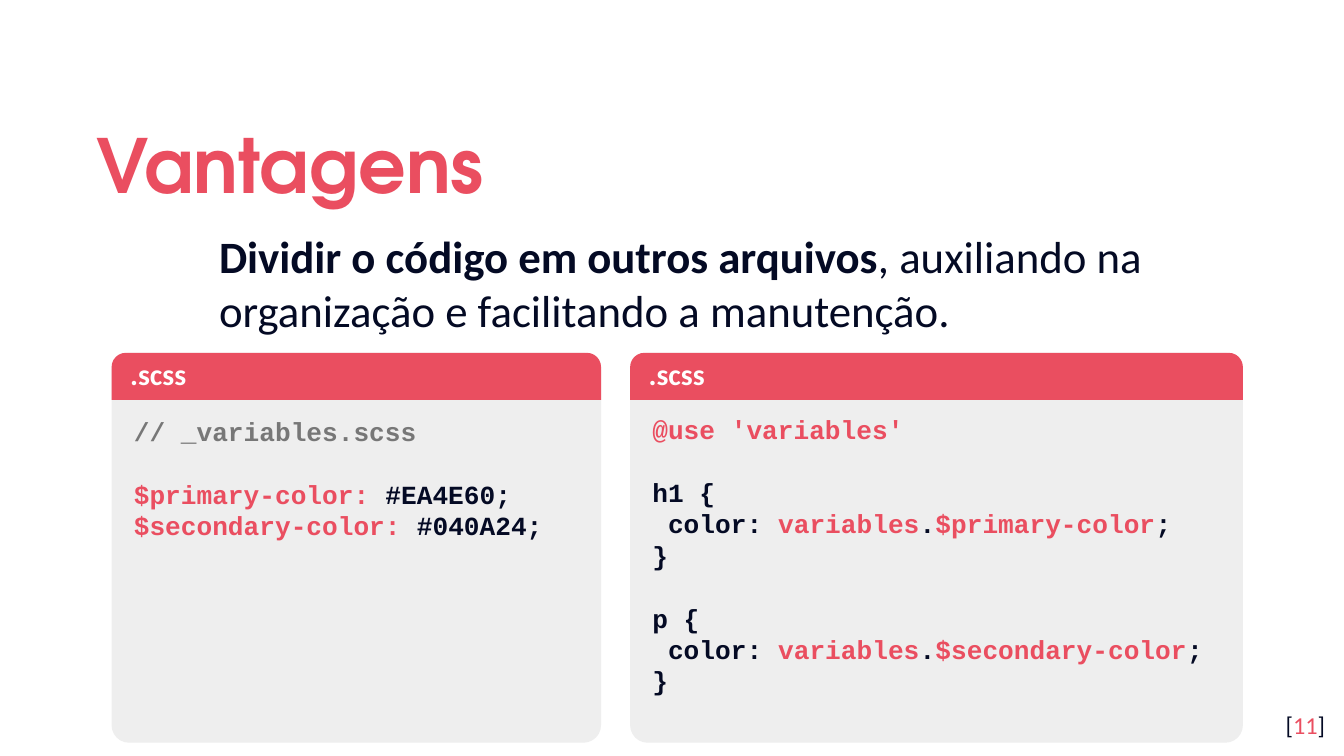
from pptx import Presentation
from pptx.dml.color import RGBColor
from pptx.enum.shapes import MSO_SHAPE as Shape
from pptx.enum.text import MSO_ANCHOR as Anchor, PP_ALIGN as Align
from pptx.util import Cm, Pt

CORAL = RGBColor(0xEA, 0x4E, 0x60)
NAVY = RGBColor(0x04, 0x0A, 0x24)
GREY = RGBColor(0x77, 0x77, 0x77)
PALE = RGBColor(0xEE, 0xEE, 0xEE)
WHITE = RGBColor(0xFF, 0xFF, 0xFF)

BODY_FONT = "Calibri"
CODE_FONT = "Courier New"
TITLE_FONT = "TeX Gyre Adventor"

PANEL_TOP, PANEL_HEIGHT, HEADER_HEIGHT = 6.67, 7.37, 0.89
CODE_LINE = 16.8  # height of one code line in points

# Code blocks, each a list of lines made of (text, colour) pieces
VARIABLES_CODE = [
    [[("// _variables.scss", GREY)]],
    [[("$primary-color: ", CORAL), ("#EA4E60;", NAVY)],
     [("$secondary-color: ", CORAL), ("#040A24;", NAVY)]],
]


def css_rule(selector, variable):
    """Lines of a rule that colours a selector with a module variable."""
    return [
        [(selector + " {", NAVY)],
        [(" color: ", NAVY), ("variables", CORAL), (".", NAVY),
         (variable, CORAL), (";", NAVY)],
        [("}", NAVY)],
    ]


USAGE_CODE = [
    [[("@use 'variables'", CORAL)]],
    css_rule("h1", "$primary-color"),
    css_rule("p", "$secondary-color"),
]


def add_run(paragraph, text, *, font=BODY_FONT, size=14, color=NAVY, bold=False):
    run = paragraph.add_run()
    run.text = text
    run.font.name = font
    run.font.size = Pt(size)
    run.font.color.rgb = color
    run.font.bold = bold


def add_text_frame(slide, left, top, width, height, *, inset=0.13, anchor=Anchor.TOP):
    box = slide.shapes.add_textbox(Cm(left), Cm(top), Cm(width), Cm(height))
    frame = box.text_frame
    frame.word_wrap = True
    frame.vertical_anchor = anchor
    frame.margin_left = frame.margin_right = Cm(0.25)
    frame.margin_top = frame.margin_bottom = Cm(inset)
    return frame


def add_block(slide, kind, left, width, height, color, corner):
    block = slide.shapes.add_shape(
        kind, Cm(left), Cm(PANEL_TOP), Cm(width), Cm(height))
    block.adjustments[0] = corner
    block.shadow.inherit = False
    block.fill.solid()
    block.fill.fore_color.rgb = color
    block.line.fill.background()


def add_code(slide, left, top, width, height, blocks):
    frame = add_text_frame(slide, left, top, width, height)
    for block_index, block in enumerate(blocks):
        for line_index, line in enumerate(block):
            if block_index == 0 and line_index == 0:
                paragraph = frame.paragraphs[0]
            else:
                paragraph = frame.add_paragraph()
                # A new block starts one line lower
                paragraph.space_before = Pt(CODE_LINE if line_index == 0 else 0)
            for text, color in line:
                add_run(paragraph, text, font=CODE_FONT, color=color, bold=True)


def add_code_panel(slide, left, width, code_top, code_height, blocks):
    add_block(slide, Shape.ROUNDED_RECTANGLE, left, width, PANEL_HEIGHT, PALE, 0.045)
    add_block(slide, Shape.ROUND_2_SAME_RECTANGLE, left, width, HEADER_HEIGHT, CORAL, 0.3)
    label = add_text_frame(slide, left - 0.1, 6.6, 1.96, 0.94).paragraphs[0]
    label.alignment = Align.CENTER
    add_run(label, ".scss", size=16, color=WHITE, bold=True)
    add_code(slide, left + 0.17, code_top, width - 0.36, code_height, blocks)


def add_title(slide):
    title = add_text_frame(slide, 1.57, 1.8, 22.2, 2.34,
                           inset=0.25, anchor=Anchor.MIDDLE).paragraphs[0]
    title.line_spacing = 1.15
    add_run(title, "Vantagens", font=TITLE_FONT, size=40, color=CORAL, bold=True)


def add_advantage(slide):
    advantage = add_text_frame(slide, 3.89, 4.19, 19.6, 2.31).paragraphs[0]
    add_run(advantage, "Dividir o código em outros arquivos", size=24, bold=True)
    add_run(advantage, ", auxiliando na organização e facilitando a manutenção.", size=24)


def add_page_number(slide):
    number = add_text_frame(slide, 23.77, 13.18, 1.52, 1.09, inset=0.25).paragraphs[0]
    number.alignment = Align.RIGHT
    for text, color in (("[", NAVY), ("11", CORAL), ("]", NAVY)):
        add_run(number, text, size=13, color=color)


def main():
    deck = Presentation()
    deck.slide_width, deck.slide_height = Cm(25.4), Cm(14.29)
    slide = deck.slides.add_slide(deck.slide_layouts[6])

    # Heading and page number
    add_title(slide)
    add_page_number(slide)

    # Code panels: the partial file, then the file that uses it
    add_code_panel(slide, 2.11, 9.25, 7.72, 2.64, VARIABLES_CODE)
    add_code_panel(slide, 11.91, 11.58, 7.69, 5.64, USAGE_CODE)

    # Explanation
    add_advantage(slide)

    deck.save("out.pptx")


if __name__ == "__main__":
    main()
